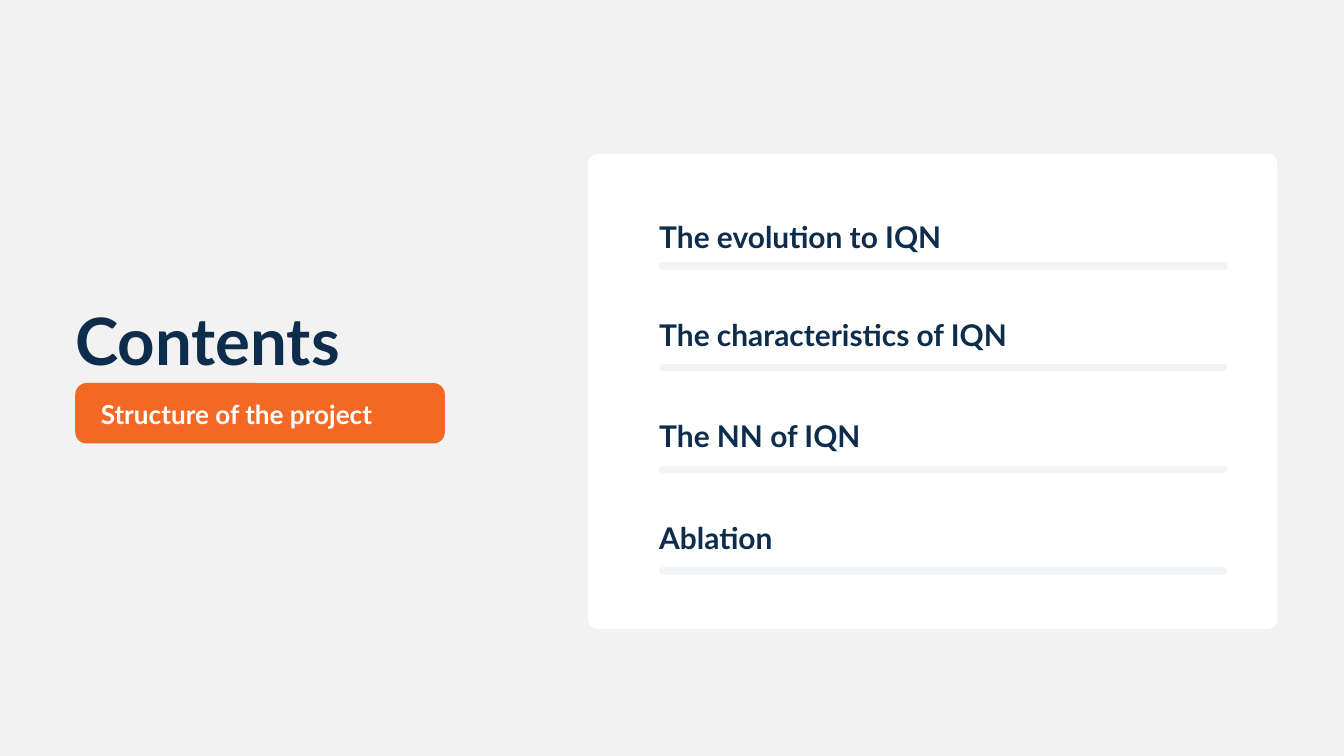
from lxml import etree
from pptx import Presentation
from pptx.dml.color import RGBColor
from pptx.enum.shapes import MSO_CONNECTOR, MSO_SHAPE
from pptx.enum.text import MSO_ANCHOR, MSO_AUTO_SIZE, PP_ALIGN
from pptx.oxml.ns import qn
from pptx.util import Emu, Pt

LINE = MSO_CONNECTOR.STRAIGHT
ROUND = MSO_SHAPE.ROUNDED_RECTANGLE
TOP, FIXED, LEFT = MSO_ANCHOR.TOP, MSO_AUTO_SIZE.NONE, PP_ALIGN.LEFT

SCALE = 9144  # EMU per px, 100 px to the inch
FONT = "Lato"
INK = {"back": "F2F2F2", "card": "FFFFFF", "rule": "F2F3F4",
       "navy": "0E2C4B", "tag": "F36825", "white": "FFFFFF"}
ITEMS = ["The evolution to IQN", "The characteristics of IQN",
         "The NN of IQN", "Ablation"]
TOPS = [332, 478, 629, 780]
RULES = [396, 547, 699, 850]
LEAD = 33.6  # line height in points


def px(num):
    return Emu(num * SCALE)


def tint(name):
    return RGBColor.from_string(INK[name])


def place(shape, left, top, width, height):
    shape.left, shape.top = px(left), px(top)
    shape.width, shape.height = px(width), px(height)


def add_panel(slide, box, radius, color):
    panel = slide.shapes.add_shape(ROUND, *map(px, box))
    panel.adjustments[0] = radius / min(box[2:])
    panel.shadow.inherit = False
    panel.fill.solid()
    panel.fill.fore_color.rgb = tint(color)
    panel.line.fill.background()
    return panel


def add_rule(slide, left, right, y):
    rule = slide.shapes.add_connector(LINE, px(left), px(y), px(right), px(y))
    rule.line.color.rgb = tint("rule")
    rule.line.width = Pt(8)
    rule.line._get_or_add_ln().set("cap", "rnd")
    etree.SubElement(rule.element.spPr, qn("a:effectLst"))


def set_frame(shape):
    frame = shape.text_frame
    frame.word_wrap = True
    frame.auto_size = FIXED
    frame.vertical_anchor = TOP
    frame.margin_left = frame.margin_right = 0
    frame.margin_top = frame.margin_bottom = 0
    return frame


def set_para(para, text, size, color, lead=LEAD):
    para.alignment = LEFT
    para.line_spacing = Pt(lead)
    para.space_before = Pt(0)
    run = para.add_run()
    run.text = text
    run.font.name = FONT
    run.font.size = Pt(size)
    run.font.bold = True
    run.font.color.rgb = tint(color)


def fill_list(body):
    frame = set_frame(body)
    for i, text in enumerate(ITEMS):
        para = frame.add_paragraph() if i else frame.paragraphs[0]
        set_para(para, text, 32, "navy")
        if i + 1 < len(ITEMS):
            pitch = px(TOPS[i + 1] - TOPS[i]).pt
            para.space_after = Pt(round(pitch - LEAD, 1))
        # No bullet, no hanging indent
        props = para._p.get_or_add_pPr()
        props.set("marL", "0")
        props.set("indent", "0")
        etree.SubElement(props, qn("a:buNone"))


def main():
    deck = Presentation()
    deck.slide_width, deck.slide_height = px(2000), px(1125)
    slide = deck.slides.add_slide(deck.slide_layouts[1])
    slide.background.fill.solid()
    slide.background.fill.fore_color.rgb = tint("back")
    title, body = slide.placeholders

    # White card with its rules, behind the list
    add_panel(slide, (875, 229, 1026, 707), 14, "card")
    for y in RULES:
        add_rule(slide, 986, 1821, y)
    tree = body.element.getparent()
    tree.append(body.element)
    place(body, 981, TOPS[0], 764, TOPS[-1] + 48 - TOPS[0])
    fill_list(body)

    # Heading
    place(title, 112, 446, 675, 118)
    set_para(set_frame(title).paragraphs[0], "Contents", 70, "navy", 84)

    # Orange tag
    add_panel(slide, (112, 570, 550, 90), 17, "tag")
    label = slide.shapes.add_textbox(px(150), px(593), px(529), px(45))
    set_para(set_frame(label).paragraphs[0], "Structure of the project",
             28, "white")

    deck.save("out.pptx")


if __name__ == "__main__":
    main()
